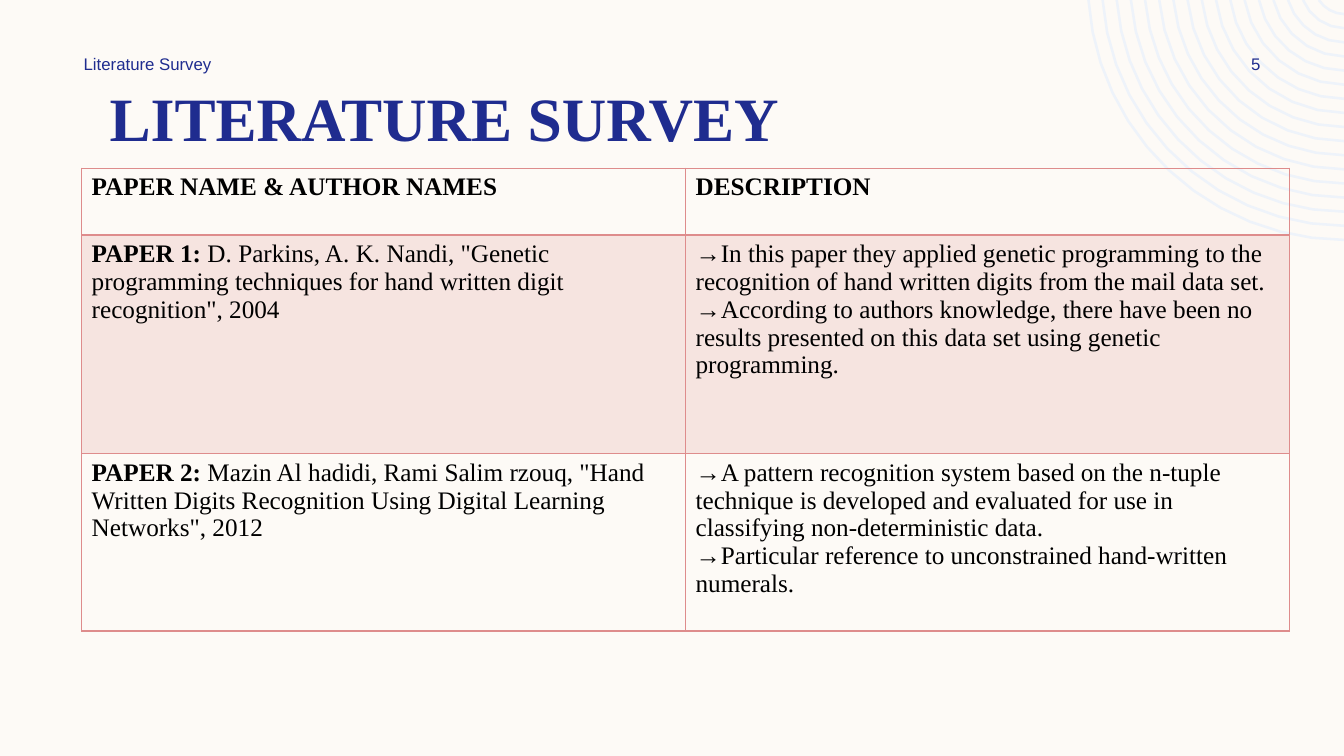
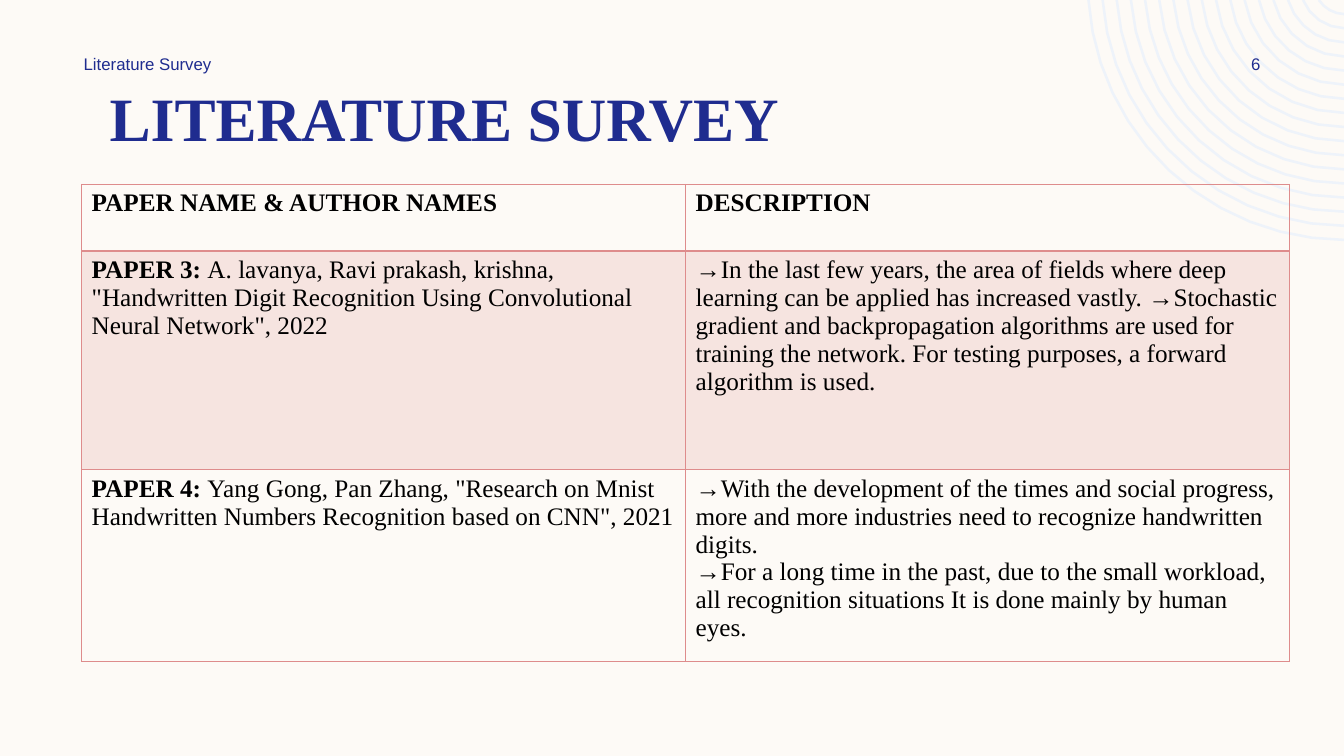
import math
from dataclasses import dataclass

import lxml.etree
import pptx
import pptx.dml.color
import pptx.enum.text
import pptx.oxml.ns
import pptx.util

Inches = pptx.util.Inches
Pt = pptx.util.Pt
ALIGN = pptx.enum.text.PP_ALIGN
ANCHOR = pptx.enum.text.MSO_ANCHOR


@dataclass(frozen=True)
class Theme:
    paper: str = "FDFAF6"
    navy: str = "1F2C8F"
    rose: str = "DE8C8C"
    mist: str = "EEF3FA"
    ink: str = "000000"
    tint: int = 20  # percent of rose in the shaded row
    serif: str = "Times New Roman"
    sans: str = "Arial"
    title: int = 44
    body: int = 18
    small: int = 12


THEME = Theme()
WIDTH, HEIGHT = 13.33, 7.5
HEADS = ("PAPER NAME & AUTHOR NAMES", "DESCRIPTION")
ROWS = (0.66, 2.17, 1.76)

# Each slide: page number, table top, papers as (label, source, points)
PAGES = [
    ("5", 1.67, [
        ("PAPER 1: ",
         'D. Parkins, A. K. Nandi, "Genetic programming techniques for '
         'hand written digit recognition", 2004',
         ["→In this paper they applied genetic programming to the recognition "
          "of hand written digits from the mail data set.",
          "→According to authors knowledge, there have been no results "
          "presented on this data set using genetic programming."]),
        ("PAPER 2: ",
         'Mazin Al hadidi, Rami Salim rzouq, "Hand Written Digits '
         'Recognition Using Digital Learning Networks", 2012',
         ["→A pattern recognition system based on the n-tuple technique is "
          "developed and evaluated for use in classifying "
          "non-deterministic data.",
          "→Particular reference to unconstrained hand-written numerals."]),
    ]),
    ("6", 1.83, [
        ("PAPER 3: ",
         'A. lavanya, Ravi prakash, krishna, "Handwritten Digit Recognition '
         'Using Convolutional Neural Network", 2022',
         ["→In the last few years, the area of fields where deep learning can "
          "be applied has increased vastly. →Stochastic gradient and "
          "backpropagation algorithms are used for training the network. For "
          "testing purposes, a forward algorithm is used."]),
        ("PAPER 4: ",
         'Yang Gong, Pan Zhang, "Research on Mnist Handwritten Numbers '
         'Recognition based on CNN", 2021',
         ["→With the development of the times and social progress, more and "
          "more industries need to recognize handwritten digits.",
          "→For a long time in the past, due to the small workload, all "
          "recognition situations It is done mainly by human eyes."]),
    ]),
]


def tone(code):
    return pptx.dml.color.RGBColor.from_string(code)


def style(run, face, size, color, bold=False):
    font = run.font
    font.name, font.size, font.bold = face, Pt(size), bold
    font.color.rgb = tone(color)


def label(slide, box, text, face, size, align, anchor, pads, bold=False):
    """Put one line of navy text in a box."""
    shape = slide.shapes.add_textbox(*map(Inches, box))
    frame = shape.text_frame
    frame.text = text
    frame.word_wrap = True
    frame.vertical_anchor = anchor
    frame.margin_left, frame.margin_right = map(Inches, pads)
    para = frame.paragraphs[0]
    para.alignment = align
    style(para.runs[0], face, size, THEME.navy, bold)


def rings(slide, box):
    """Draw rings around a point above the box's top right, cut to the box."""
    left, top, wide, _ = box
    edge = left + wide
    mid_x, mid_y = edge + 0.01, top - 0.17

    def arc(radius, steps):
        start = math.acos((edge - mid_x) / radius)
        end = math.pi - math.asin((top - mid_y) / radius)
        turns = [start + (end - start) * i / steps for i in range(steps + 1)]
        return [(Inches(mid_x + radius * math.cos(t)),
                 Inches(mid_y + radius * math.sin(t))) for t in turns]

    pen = None
    for i in range(17):
        dots = arc(0.31 + 0.14 * i, 4 + i // 2)
        if pen is None:
            pen = slide.shapes.build_freeform(*dots[0], scale=1.0)
        else:
            pen.move_to(*dots[0])
        pen.add_line_segments(dots[1:], close=False)
    shape = pen.convert_to_shape()
    shape.shadow.inherit = False
    shape.fill.background()
    shape.line.color.rgb = tone(THEME.mist)
    shape.line.width = Pt(1.8)


def header(slide, box, page):
    """Running head at the left end of the box, page number at the right."""
    left, top, wide, high = box
    for x, w, text, align, pad in (
            (left, 3.5, "Literature Survey", ALIGN.LEFT, 0),
            (left + wide - 1.08, 1.08, page, ALIGN.RIGHT, 0.1)):
        label(slide, (x, top, w, high), text, THEME.sans, THEME.small,
              align, ANCHOR.MIDDLE, (pad, 0))


def border(cell, sides):
    """Rule the cell's sides, given as tag to width in points."""
    props = cell._tc.get_or_add_tcPr()
    name = pptx.oxml.ns.qn
    for tag in ("lnL", "lnR", "lnT", "lnB"):
        line = lxml.etree.SubElement(props, name("a:" + tag),
                                     w=str(Pt(sides.get(tag, 1))))
        fill = lxml.etree.SubElement(line, name("a:solidFill"))
        lxml.etree.SubElement(fill, name("a:srgbClr"), val=THEME.rose)


def shade(cell):
    """Fill the cell with see-through rose."""
    cell.fill.solid()
    cell.fill.fore_color.rgb = tone(THEME.rose)
    name = pptx.oxml.ns.qn
    color = cell._tc.tcPr.find(name("a:solidFill")).find(name("a:srgbClr"))
    lxml.etree.SubElement(color, name("a:alpha"), val=str(THEME.tint * 1000))


def write(cell, paras):
    """Write paragraphs, each a list of (text, bold) runs."""
    frame = cell.text_frame
    for i, parts in enumerate(paras):
        para = frame.add_paragraph() if i else frame.paragraphs[0]
        for text, bold in parts:
            run = para.add_run()
            run.text = text
            style(run, THEME.serif, THEME.body, THEME.ink, bold)


def survey(slide, box, papers):
    """Table of papers with a ruled head row and a shaded first paper."""
    count = len(papers) + 1
    table = slide.shapes.add_table(count, 2, *map(Inches, box)).table
    table.first_row = table.horz_banding = False
    for col in table.columns:
        col.width = Inches(box[2] / 2)
    for row, high in zip(table.rows, ROWS):
        row.height = Inches(high)

    grid = [[[[(head, True)]] for head in HEADS]]
    for name, source, points in papers:
        grid.append([[[(name, True), (source, False)]],
                     [[(point, False)] for point in points]])

    for r, line in enumerate(grid):
        for c, paras in enumerate(line):
            cell = table.cell(r, c)
            write(cell, paras)
            border(cell, {0: {"lnB": 2}, 1: {"lnT": 2}}.get(r, {}))
            if r == 1:
                shade(cell)
            else:
                cell.fill.background()


def build(deck, page, top, papers):
    slide = deck.slides.add_slide(deck.slide_layouts[6])
    rings(slide, (10.79, 0, 2.54, 2.39))
    label(slide, (0.54, 0.88, 7.74, 0.7), "LITERATURE SURVEY", THEME.serif,
          THEME.title, ALIGN.CENTER, ANCHOR.BOTTOM, (0.1, 0.1), True)
    header(slide, (0.83, 0.5, 11.67, 0.27), page)
    survey(slide, (0.81, top, 11.98, sum(ROWS)), papers)


def main():
    deck = pptx.Presentation()
    deck.slide_width, deck.slide_height = Inches(WIDTH), Inches(HEIGHT)
    # Shared background
    back = deck.slide_master.background.fill
    back.solid()
    back.fore_color.rgb = tone(THEME.paper)
    for page, top, papers in PAGES:
        build(deck, page, top, papers)
    deck.save("out.pptx")


if __name__ == "__main__":
    main()
